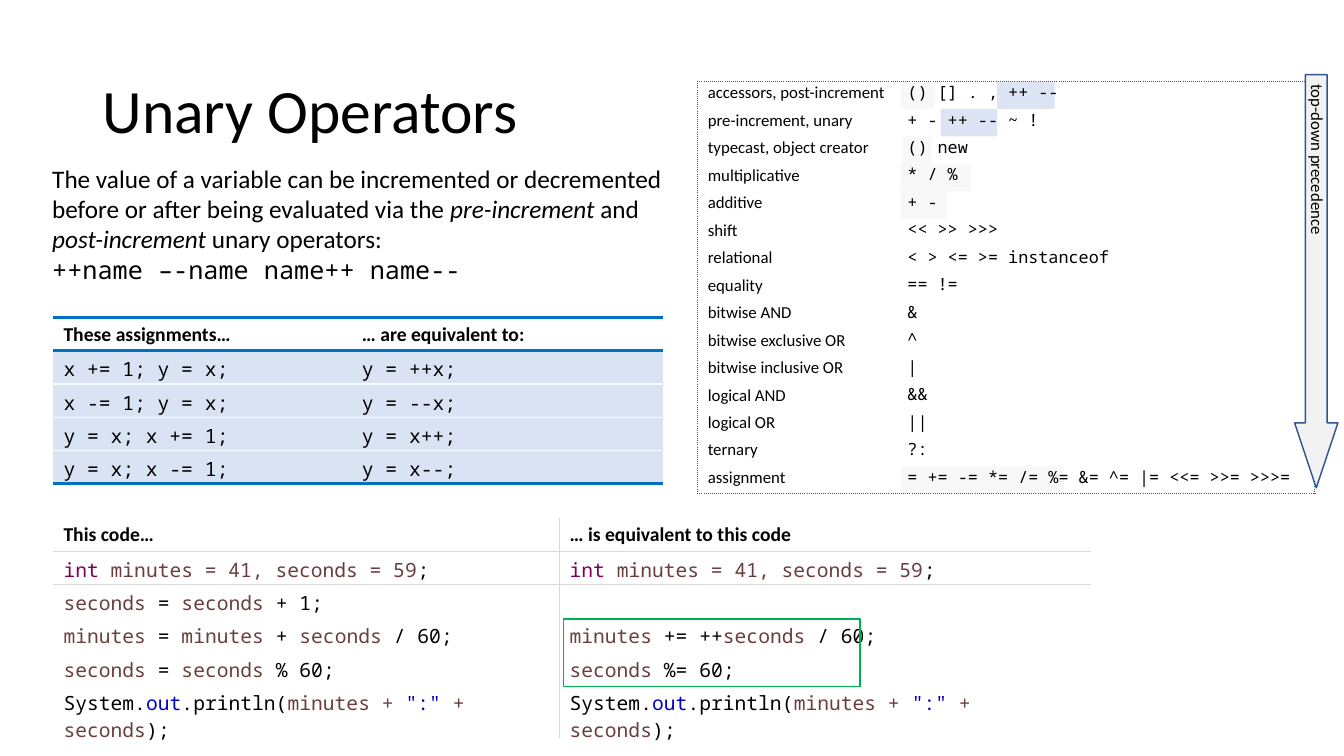
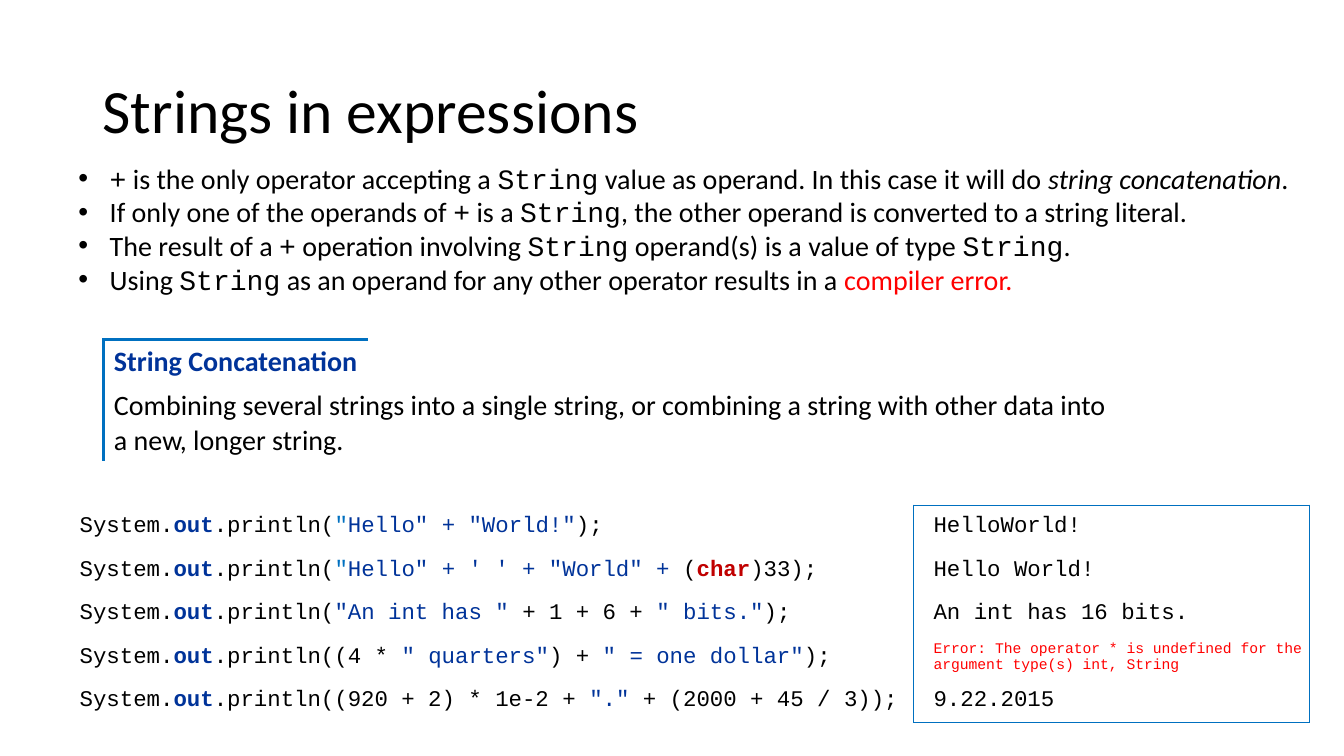
from lxml import etree
from pptx import Presentation
from pptx.dml.color import RGBColor
from pptx.enum.shapes import MSO_SHAPE
from pptx.enum.text import MSO_ANCHOR
from pptx.oxml.ns import qn
from pptx.util import Inches, Pt

# Shared look
BODY, MONO, COURIER = "Calibri", "Noto Sans Mono", "Courier New"
BLACK, WHITE, RED = "000000", "FFFFFF", "FF0000"
BLUE, NAVY, PALE_BLUE = "0070C0", "003399", "DAE3F3"
PALE_GRAY, RULE_GRAY = "F2F2F2", "D9D9D9"
NO_STYLE = "{2D5ABB26-0587-4C30-8999-92F81FD0307C}"
BORDER_ORDER = ["L", "R", "T", "B"]

# Run formats
ITALIC = {"italic": True}
IN_COURIER = {"font": COURIER}
KEYWORD, VARIABLE, LITERAL = {"color": "7F0055"}, {"color": "6A3E3E"}, {"color": "0000C0"}
FIELD, STRING, QUOTE = {"color": NAVY, "bold": True}, {"color": NAVY}, {"color": BLUE}


def color(value):
    return RGBColor.from_string(value)


def write_text(frame, paragraphs, spacing=None, bullet=None, indent=0, **text_format):
    """Each paragraph is a string or a list of runs: strings or (string, format)."""
    for number, runs in enumerate(paragraphs):
        paragraph = frame.paragraphs[0] if number == 0 else frame.add_paragraph()
        if spacing:
            paragraph.line_spacing = spacing
        if bullet:
            properties = paragraph._p.get_or_add_pPr()
            properties.set("marL", str(Inches(indent)))
            properties.set("indent", str(-Inches(indent)))
            etree.SubElement(properties, qn("a:buFont"), typeface="Arial")
            etree.SubElement(properties, qn("a:buChar"), char=bullet)
        for item in [runs] if isinstance(runs, str) else runs:
            text, own_format = (item, {}) if isinstance(item, str) else item
            if text:
                format_run(paragraph.add_run(), text, **{**text_format, **own_format})
            else:
                size = str(text_format["size"] * 100)
                etree.SubElement(paragraph._p, qn("a:endParaRPr"), sz=size)


def format_run(run, text, size=18, font=BODY, color_hex=BLACK, bold=False, italic=False, **extra):
    run.text = text
    run.font.size = Pt(size)
    run.font.name = font
    run.font.bold = bold
    run.font.italic = italic
    run.font.color.rgb = color(extra.get("color", color_hex))


def add_text(slide, box, paragraphs, anchor=MSO_ANCHOR.TOP, rotation=0, **text_format):
    shape = slide.shapes.add_textbox(*map(Inches, box))
    shape.rotation = rotation
    shape.text_frame.word_wrap = True
    shape.text_frame.vertical_anchor = anchor
    write_text(shape.text_frame, paragraphs, **text_format)


def add_title(slide, title):
    add_text(slide, (0.92, 0.4, 11.5, 1.45), [title],
             anchor=MSO_ANCHOR.MIDDLE, spacing=0.9, size=44)


def add_box(slide, box, kind=MSO_SHAPE.RECTANGLE, fill=None, opacity=100, line=None):
    shape = slide.shapes.add_shape(kind, *map(Inches, box))
    shape.shadow.inherit = False
    if fill:
        shape.fill.solid()
        shape.fill.fore_color.rgb = color(fill)
        if opacity < 100:
            rgb = shape._element.spPr.find(qn("a:solidFill"))[0]
            etree.SubElement(rgb, qn("a:alpha"), val=str(opacity * 1000))
    else:
        shape.fill.background()
    if line:
        shape.line.color.rgb = color(line)
        shape.line.width = Pt(1)
    else:
        shape.line.fill.background()
    return shape


# Tables
def add_table(slide, left, top, widths, heights):
    table = slide.shapes.add_table(
        len(heights), len(widths), Inches(left), Inches(top),
        Inches(sum(widths)), Inches(sum(heights))).table
    table.first_row = table.horz_banding = False
    table._tbl.tblPr.find(qn("a:tableStyleId")).text = NO_STYLE
    for column, width in zip(table.columns, widths):
        column.width = Inches(width)
    for row, height in zip(table.rows, heights):
        row.height = Inches(height)
    return table


def fill_cell(cell, runs, fill=None, margins=(0.1, 0.05, 0.1, 0.05),
              anchor=MSO_ANCHOR.TOP, **text_format):
    (cell.margin_left, cell.margin_top,
     cell.margin_right, cell.margin_bottom) = map(Inches, margins)
    cell.vertical_anchor = anchor
    if fill:
        cell.fill.solid()
        cell.fill.fore_color.rgb = color(fill)
    else:
        cell.fill.background()
    write_text(cell.text_frame, [runs], **text_format)


def set_border(cell, side, line_color, width, dash="solid"):
    properties = cell._tc.get_or_add_tcPr()
    earlier = BORDER_ORDER[:BORDER_ORDER.index(side)]
    position = sum(properties.find(qn("a:ln" + name)) is not None for name in earlier)
    line = etree.Element(qn("a:ln" + side), w=str(Pt(width)))
    properties.insert(position, line)
    solid = etree.SubElement(line, qn("a:solidFill"))
    etree.SubElement(solid, qn("a:srgbClr"), val=line_color)
    etree.SubElement(line, qn("a:prstDash"), val=dash)


def frame_cells(cells, line_color, width, dash="solid"):
    """Draw an outline round a block of cells given as a list of rows."""
    for row in cells:
        set_border(row[0], "L", line_color, width, dash)
        set_border(row[-1], "R", line_color, width, dash)
    for side, row in (("T", cells[0]), ("B", cells[-1])):
        for cell in row:
            set_border(cell, side, line_color, width, dash)


def cell_rows(table):
    return [list(row.cells) for row in table.rows]


def println(field_format, start, *rest):
    return ["System.", ("out", field_format), ".println(" + start, *rest]


# Slide 1 regions
def add_comparison(slide, left, top, widths, rows, fill):
    """Two columns of code below a bold header."""
    table = add_table(slide, left, top, widths, [0.33] * len(rows))
    for number, (cells, texts) in enumerate(zip(cell_rows(table), rows)):
        look = {"font": MONO, "fill": fill} if number else {"bold": True}
        for cell, runs in zip(cells, texts):
            fill_cell(cell, runs, size=14, margins=(0.1, 0.05, 0.1, 0.01), **look)
    return cell_rows(table)


def add_assignments(slide, left, top):
    rows = [
        ("These assignments…", "… are equivalent to:"),
        ("x += 1; y = x;", "y = ++x;"),
        ("x -= 1; y = x;", "y = --x;"),
        ("y = x; x += 1;", "y = x++;"),
        ("y = x; x -= 1;", "y = x--;"),
    ]
    cells = add_comparison(slide, left, top, (2.96, 3.09), rows, PALE_BLUE)
    last = len(cells) - 1
    for number, row in enumerate(cells):
        for cell in row:
            set_border(cell, "T", *((BLUE, 2.25) if number < 2 else ("F3FFFE", 1)))
            set_border(cell, "B", *((BLUE, 2.25) if number in (0, last) else ("F3FFFE", 1)))


def add_code_comparison(slide, left, top):
    declaration = [("int ", KEYWORD), ("minutes = 41, seconds = 59", VARIABLE), ";"]
    output = println(LITERAL, "", ("minutes + ", VARIABLE), ('":"', LITERAL),
                     (" + seconds", VARIABLE), ");")
    minutes, seconds = ("minutes", VARIABLE), ("seconds", VARIABLE)
    spaced_seconds = ("seconds ", VARIABLE)
    rows = [
        ("This code…", "… is equivalent to this code"),
        (declaration, declaration),
        ([seconds, " = ", seconds, " + 1;"], ""),
        ([minutes, " = ", minutes, " + ", spaced_seconds, "/ 60;"],
         [minutes, " += ++", spaced_seconds, "/ 60;"]),
        ([seconds, " = ", spaced_seconds, "% 60;"], [seconds, " %= 60;"]),
        (output, output),
    ]
    cells = add_comparison(slide, left, top, (5.02, 5.27), rows, WHITE)
    for before, after in cells:
        set_border(before, "R", RULE_GRAY, 1)
        set_border(after, "L", RULE_GRAY, 1)
    for side, row in (("B", cells[0]), ("T", cells[1])):
        for cell in row:
            set_border(cell, side, RULE_GRAY, 1)
    add_box(slide, (left + 5.06, top + 1, 2.94, 0.67), line="00B050")


def add_precedence(slide, left, top):
    operators = [
        ("accessors, post-increment", "() [] . , ++ --"),
        ("pre-increment, unary", "+ - ++ -- ~ !"),
        ("typecast, object creator", "() new"),
        ("multiplicative", "* / %"),
        ("additive", "+ -"),
        ("shift", "<< >> >>>"),
        ("relational", "< > <= >= instanceof"),
        ("equality", "== !="),
        ("bitwise AND", "&"),
        ("bitwise exclusive OR", "^"),
        ("bitwise inclusive OR", "|"),
        ("logical AND", "&&"),
        ("logical OR", "||"),
        ("ternary", "?:"),
        ("assignment", "= += -= *= /= %= &= ^= |= <<= >>= >>>="),
    ]
    row_height = 4.09 / len(operators)
    # Highlights behind the operators: row, offset, width, colour, opacity
    for row, offset, width, fill, opacity in [
        (0, 2.01, 0.34, PALE_GRAY, 50), (0, 2.97, 0.57, PALE_BLUE, 90),
        (1, 2.41, 0.56, PALE_BLUE, 90), (2, 2.03, 0.29, PALE_GRAY, 50),
        (3, 2.01, 0.7, PALE_GRAY, 50), (4, 2.01, 0.46, PALE_GRAY, 50),
        (14, 2.02, 1.61, PALE_GRAY, 50),
    ]:
        add_box(slide, (left + offset, top + row * row_height, width, 0.27),
                fill=fill, opacity=opacity)
    table = add_table(slide, left, top, (1.98, 4.14), [row_height] * len(operators))
    for cells, texts in zip(cell_rows(table), operators):
        for cell, text, font in zip(cells, texts, (BODY, MONO)):
            fill_cell(cell, text, size=12, font=font, spacing=Pt(12))
    frame_cells(cell_rows(table), BLUE, 0.75, "sysDot")
    # Direction of precedence
    arrow = add_box(slide, (left + 5.92, top - 0.07, 0.43, 4.1), MSO_SHAPE.DOWN_ARROW,
                    fill=PALE_GRAY, line="325491")
    arrow.adjustments[0], arrow.adjustments[1] = 0.5, 1.5
    add_text(slide, (left + 5.16, top + 0.77, 1.98, 0.3), ["top-down precedence"],
             rotation=90, size=12)


def build_unary_operators(slide):
    add_title(slide, "Unary Operators")
    add_text(slide, (0.42, 1.57, 6.34, 1.31), [
        ["The value of a variable can be incremented or decremented before or after "
         "being evaluated via the ", ("pre-increment", ITALIC), " and ",
         ("post-increment", ITALIC), " unary operators:"],
        [("++name –-name name++ name--", {"font": MONO})],
    ], size=18)
    add_assignments(slide, 0.53, 3.15)
    add_code_comparison(slide, 0.53, 5.14)
    add_precedence(slide, 6.92, 0.81)


# Slide 2 regions
def add_rules(slide, box):
    plus, string = ("+", IN_COURIER), ("String", IN_COURIER)
    add_text(slide, box, [
        [plus, " is the only operator accepting a ", string,
         " value as operand. In this case it will do ", ("string concatenation", ITALIC), "."],
        ["If only one of the operands of ", plus, " is a ", string,
         ", the other operand is converted to a string literal."],
        ["The result of a ", plus, " operation involving ", string,
         " operand(s) is a value of type ", string, "."],
        ["Using ", string, " as an operand for any other operator results in a ",
         ("compiler error.", {"color": RED})],
    ], size=20, bullet="•", indent=0.31)


def add_definition(slide, left, top):
    table = add_table(slide, left, top, (2.62, 7.57), (0.44, 0.76))
    term, description = table.cell(0, 0), table.cell(1, 0)
    description.merge(table.cell(1, 1))
    fill_cell(term, "String Concatenation", size=20, **FIELD)
    fill_cell(description, "Combining several strings into a single string, or combining "
              "a string with other data into a new, longer string.", size=20)
    for cell, side in ((term, "L"), (term, "T"), (description, "L")):
        set_border(cell, side, BLUE, 2.25)


def add_examples(slide, left, top):
    examples = [
        (println(FIELD, "", ('"', QUOTE), ('Hello" + "World!"', STRING), ");"), "HelloWorld!"),
        (println(FIELD, "", ('"', QUOTE), ('Hello" + \' \' + "World" + ', STRING), "(",
                 ("char", {"color": "C00000", "bold": True}), ")33);"), "Hello World!"),
        (println(FIELD, "", ('"An int has " ', STRING), "+ 1 + 6 + ", ('" bits."', STRING),
                 ");"), "An int has 16 bits."),
        (println(FIELD, "(4 * ", ('" quarters"', STRING), ") + ",
                 ('" = one dollar"', STRING), ");"),
         [("Error: The operator * is undefined for the argument type(s) int, String",
           {"size": 10.5, "color": RED})]),
        (println(FIELD, "(920 + 2) * 1e-2 + ", ('"." ', STRING), "+ (2000 + 45 / 3));"),
         "9.22.2015"),
    ]
    table = add_table(slide, left, top, (8.27, 3.93), [2.16 / len(examples)] * len(examples))
    for cells, texts in zip(cell_rows(table), examples):
        for cell, runs, inset in zip(cells, texts, (0, 0.2)):
            fill_cell(cell, runs, margins=(inset, 0, 0, 0), anchor=MSO_ANCHOR.MIDDLE,
                      size=16, font=COURIER)
    frame_cells([row[1:] for row in cell_rows(table)], BLUE, 0.75)


def build_strings(slide):
    add_title(slide, "Strings in expressions")
    add_examples(slide, 0.79, 5.01)
    add_definition(slide, 1.03, 3.37)
    add_rules(slide, (0.68, 1.55, 12.25, 1.45))


def main():
    presentation = Presentation()
    presentation.slide_width, presentation.slide_height = Inches(13.33), Inches(7.5)
    for build in (build_unary_operators, build_strings):
        build(presentation.slides.add_slide(presentation.slide_layouts[6]))
    presentation.save("out.pptx")


if __name__ == "__main__":
    main()
